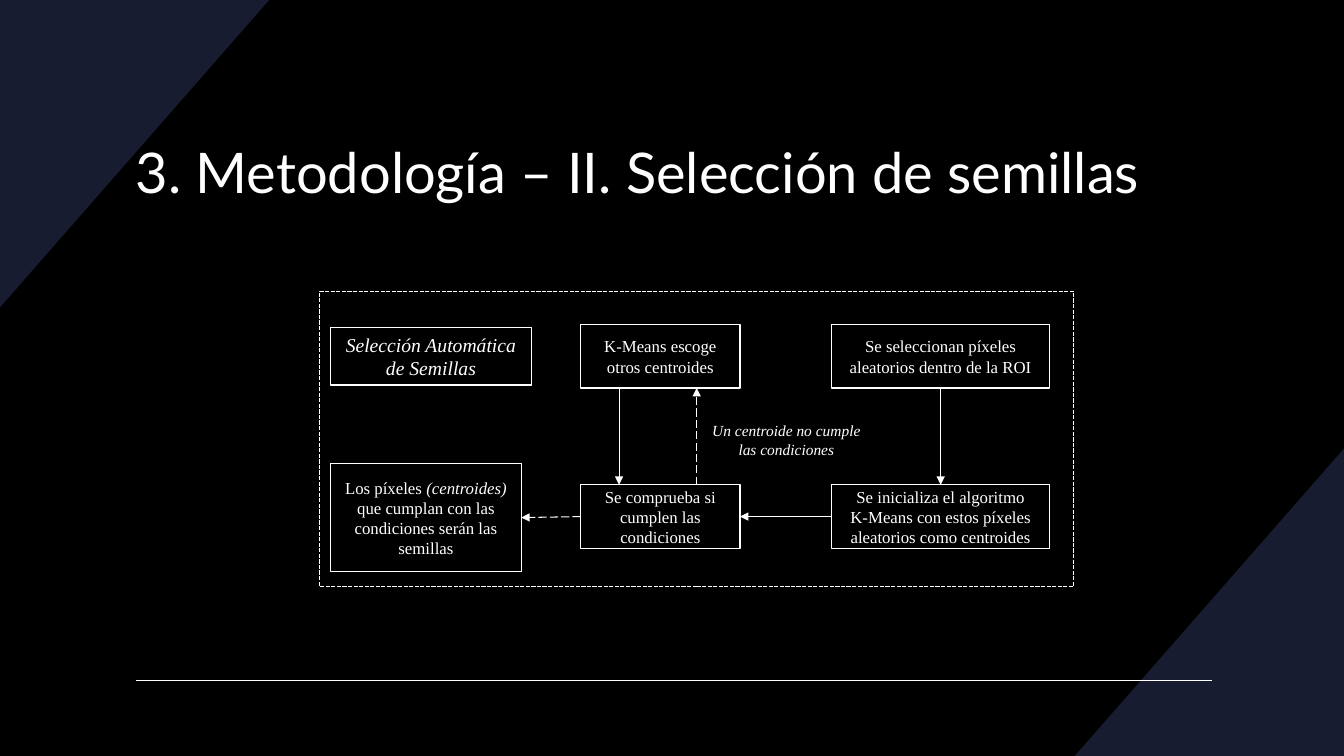
from lxml import etree
from pptx import Presentation
from pptx.dml.color import RGBColor
from pptx.enum.dml import MSO_LINE
from pptx.enum.shapes import MSO_CONNECTOR, MSO_SHAPE
from pptx.enum.text import MSO_ANCHOR, PP_ALIGN
from pptx.oxml.ns import qn
from pptx.util import Inches, Pt

STRAIGHT = MSO_CONNECTOR.STRAIGHT
RECTANGLE = MSO_SHAPE.RECTANGLE
TOP, MIDDLE = MSO_ANCHOR.TOP, MSO_ANCHOR.MIDDLE
LEFT, CENTER = PP_ALIGN.LEFT, PP_ALIGN.CENTER
DOTTED, DASHED = MSO_LINE.SQUARE_DOT, MSO_LINE.LONG_DASH
TOP_SIDE, LEFT_SIDE, BOTTOM_SIDE, RIGHT_SIDE = range(4)

COLORS = {"background": "000000", "corner": "181C30", "ink": "FFFFFF"}
SLIDE_W, SLIDE_H = 13.33, 7.5
CORNER_W, CORNER_H = 2.67, 3.05
TITLE = "3. Metodología – II. Selección de semillas"
TITLE_AREA = (1.25, 0.95, 10.83, 1.49)
FRAME = (3.17, 2.89, 7.48, 2.93)
FOOTER_RULE = ((1.35, 6.75), (12.02, 6.75))

TITLE_FORMAT = {"name": "Lato", "size": Pt(40)}
LABEL_FORMAT = {"name": "Times New Roman", "size": Pt(14), "italic": True}
STEP_FORMAT = {"name": "Times New Roman", "size": Pt(12)}
NOTE_FORMAT = {"name": "Times New Roman", "size": Pt(11), "italic": True}

LABEL = "Selección Automática de Semillas"
LABEL_AREA = (3.28, 3.25, 1.99, 0.57)
NOTE = "Un centroide no cumple las condiciones"
NOTE_AREA = (6.87, 4.13, 1.86, 0.47)

UPPER, LOWER, STEP_H = 3.22, 4.81, 0.63
RETRY_X, RETRY_W = 5.76, 1.58
START_X, START_W = 8.25, 2.16
STEPS = {
    "pixels": ((START_X, UPPER, START_W, STEP_H),
               [("Se seleccionan píxeles aleatorios dentro de la ROI", False)]),
    "start": ((START_X, LOWER, START_W, STEP_H),
              [("Se inicializa el algoritmo\nK-Means con estos píxeles aleatorios como centroides", False)]),
    "seeds": ((3.28, 4.6, 1.89, 1.07),
              [("Los píxeles ", False), ("(centroides) ", True),
               ("que cumplan con las condiciones serán las semillas", False)]),
    "check": ((RETRY_X, LOWER, RETRY_W, STEP_H),
              [("Se comprueba si cumplen las condiciones", False)]),
    "retry": ((RETRY_X, UPPER, RETRY_W, STEP_H),
              [("K-Means escoge otros centroides", False)]),
}
JOINED_ARROWS = [
    ("pixels", BOTTOM_SIDE, "start", TOP_SIDE, 0.5, None),
    ("start", LEFT_SIDE, "check", RIGHT_SIDE, 0.5, None),
    ("check", LEFT_SIDE, "seeds", RIGHT_SIDE, 0.75, DASHED),
]
LOOP_ARROWS = [
    ((6.14, UPPER + STEP_H), (6.14, LOWER), 0.5, None),
    ((6.91, LOWER), (6.91, UPPER + STEP_H), 0.75, DASHED),
]


def rgb(name):
    return RGBColor.from_string(COLORS[name])


def style_line(line, width, dash=None):
    line.color.rgb = rgb("ink")
    line.width = Pt(width)
    if dash:
        line.dash_style = dash


def write(shape, runs, text_format, anchor=MIDDLE, align=CENTER):
    frame = shape.text_frame
    frame.word_wrap = True
    frame.vertical_anchor = anchor
    paragraph = frame.paragraphs[0]
    paragraph.alignment = align
    for text, italic in runs:
        for index, row in enumerate(text.split("\n")):
            if index:
                paragraph.add_line_break()
            run = paragraph.add_run()
            run.text = row
            for key, value in {"italic": italic, **text_format}.items():
                setattr(run.font, key, value)
            run.font.color.rgb = rgb("ink")


def add_box(area, width, dash=None):
    box = shapes.add_shape(RECTANGLE, *map(Inches, area))
    box.shadow.inherit = False
    box.fill.background()
    style_line(box.line, width, dash)
    return box


def add_text(area, text, text_format, anchor, align):
    write(shapes.add_textbox(*map(Inches, area)), [(text, False)], text_format, anchor, align)


def add_line(start, end, width, dash=None, arrow=True):
    line = shapes.add_connector(STRAIGHT, *map(Inches, start + end))
    style_line(line.line, width, dash)
    if arrow:
        etree.SubElement(line.line._get_or_add_ln(), qn("a:tailEnd"), type="triangle")
    etree.SubElement(line._element.spPr, qn("a:effectLst"))
    return line


def add_corner(points):
    (x, y), *others = [tuple(map(Inches, point)) for point in points]
    builder = shapes.build_freeform(x, y)
    builder.add_line_segments(others, close=True)
    corner = builder.convert_to_shape()
    corner.shadow.inherit = False
    corner.fill.solid()
    corner.fill.fore_color.rgb = rgb("corner")
    corner.line.fill.background()


presentation = Presentation()
presentation.slide_width, presentation.slide_height = Inches(SLIDE_W), Inches(SLIDE_H)
slide = presentation.slides.add_slide(presentation.slide_layouts[6])
shapes = slide.shapes
slide.background.fill.solid()
slide.background.fill.fore_color.rgb = rgb("background")

add_corner([(SLIDE_W, SLIDE_H - CORNER_H), (SLIDE_W, SLIDE_H), (SLIDE_W - CORNER_W, SLIDE_H)])
add_corner([(0, CORNER_H), (0, 0), (CORNER_W, 0)])
add_line(*FOOTER_RULE, 1, arrow=False)
add_text(TITLE_AREA, TITLE, TITLE_FORMAT, MIDDLE, LEFT)
add_box(FRAME, 1, DOTTED)
write(add_box(LABEL_AREA, 0.75), [(LABEL, True)], LABEL_FORMAT, TOP)

steps = {}
for name, (area, runs) in STEPS.items():
    steps[name] = add_box(area, 1)
    write(steps[name], runs, STEP_FORMAT)

for source, source_side, target, target_side, width, dash in JOINED_ARROWS:
    arrow = add_line((0, 0), (0, 0), width, dash)
    arrow.begin_connect(steps[source], source_side)
    arrow.end_connect(steps[target], target_side)
for loop_arrow in LOOP_ARROWS:
    add_line(*loop_arrow)
add_text(NOTE_AREA, NOTE, NOTE_FORMAT, TOP, CENTER)

presentation.save("out.pptx")
